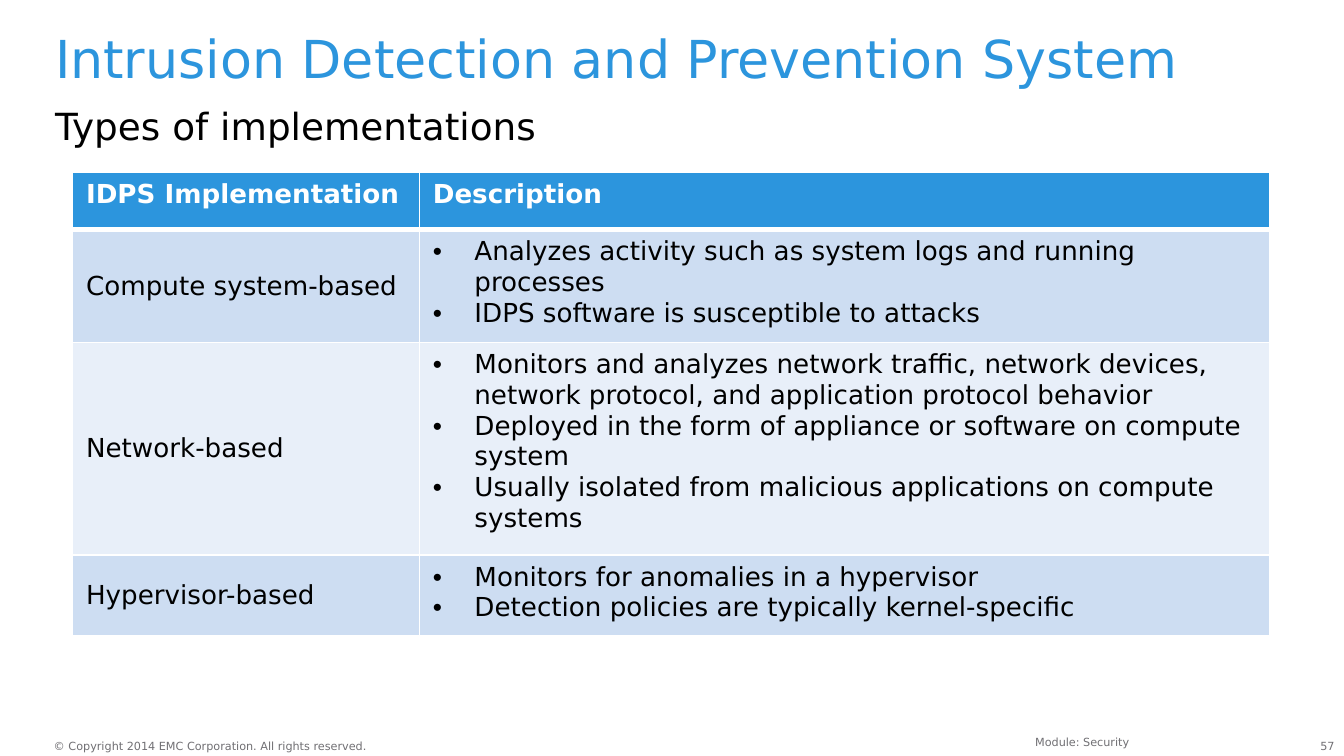
from lxml import etree
from pptx import Presentation
from pptx.dml.color import RGBColor
from pptx.enum.text import MSO_ANCHOR, PP_ALIGN
from pptx.oxml.ns import qn
from pptx.util import Inches, Pt

LEFT, RIGHT = PP_ALIGN.LEFT, PP_ALIGN.RIGHT
TOP, MIDDLE = MSO_ANCHOR.TOP, MSO_ANCHOR.MIDDLE

WIDTH = 10
HEIGHT = WIDTH * 9 / 16
MARGIN = 0.041 * WIDTH
FONT = "DejaVu Sans"
BLUE, BLACK, WHITE, GREY = "2C95DD", "000000", "FFFFFF", "717074"
BANDS = ["CDDDF2", "E8EFF9"]
INDENT = 0.31

COLUMNS = [2.58, 6.33]
ROW_HEIGHTS = [0.43, 0.84, 1.58, 0.6]
HEADER = ["IDPS Implementation", "Description"]
IMPLEMENTATIONS = [
    ("Compute system-based", [
        "Analyzes activity such as system logs and running processes",
        "IDPS software is susceptible to attacks",
    ]),
    ("Network-based", [
        "Monitors and analyzes network traffic, network devices, "
        "network protocol, and application protocol behavior",
        "Deployed in the form of appliance or software on compute system",
        "Usually isolated from malicious applications on compute systems",
    ]),
    ("Hypervisor-based", [
        "Monitors for anomalies in a hypervisor",
        "Detection policies are typically kernel-specific",
    ]),
]


def rgb(value):
    return RGBColor.from_string(value)


def add_run(p, text, size, color, bold=False):
    r = p.add_run()
    r.text = text
    r.font.name = FONT
    r.font.size = Pt(size)
    r.font.bold = bold
    r.font.color.rgb = rgb(color)


def add_text(slide, box, text, size, color, align=LEFT, inset=0, wrap=True, spacing=1):
    """Add a one-paragraph text box; box is left, top, width, height in inches."""
    tf = slide.shapes.add_textbox(*map(Inches, box)).text_frame
    tf.word_wrap = wrap
    tf.margin_left = tf.margin_right = Inches(inset)
    tf.margin_top = tf.margin_bottom = Inches(inset / 2)
    p = tf.paragraphs[0]
    p.alignment = align
    p.line_spacing = spacing
    add_run(p, text, size, color)


def add_bullet(p):
    pPr = p._p.get_or_add_pPr()
    pPr.set("marL", str(Inches(INDENT)))
    pPr.set("indent", str(-Inches(INDENT)))
    etree.SubElement(pPr, qn("a:buFont"), typeface="Arial")
    etree.SubElement(pPr, qn("a:buChar"), char="•")


def set_borders(cell, top, bottom):
    """Draw white borders, 1 pt at the sides and as given above and below."""
    tcPr = cell._tc.get_or_add_tcPr()
    for tag, width in (("lnL", 1), ("lnR", 1), ("lnT", top), ("lnB", bottom)):
        ln = etree.SubElement(tcPr, qn(f"a:{tag}"), w=str(Pt(width)))
        fill = etree.SubElement(ln, qn("a:solidFill"))
        etree.SubElement(fill, qn("a:srgbClr"), val=WHITE)


def fill_cell(cell, lines, fill, color=BLACK, header=False, bullets=False,
              anchor=TOP, top_border=1):
    set_borders(cell, top_border, bottom=3 if header else 1)
    cell.fill.solid()
    cell.fill.fore_color.rgb = rgb(fill)
    cell.vertical_anchor = anchor
    tf = cell.text_frame
    for i, line in enumerate(lines):
        p = tf.add_paragraph() if i else tf.paragraphs[0]
        if bullets:
            add_bullet(p)
        add_run(p, line, 14, color, header)


def add_implementation_table(slide, left, top):
    frame = slide.shapes.add_table(
        len(ROW_HEIGHTS), len(COLUMNS), Inches(left), Inches(top),
        Inches(sum(COLUMNS)), Inches(sum(ROW_HEIGHTS)))
    table = frame.table
    for column, width in zip(table.columns, COLUMNS):
        column.width = Inches(width)
    for row, height in zip(table.rows, ROW_HEIGHTS):
        row.height = Inches(height)
    for col, title in enumerate(HEADER):
        fill_cell(table.cell(0, col), [title], BLUE, WHITE, header=True)
    for i, (name, points) in enumerate(IMPLEMENTATIONS):
        band = BANDS[i % 2]
        border = 1 if i else 3
        fill_cell(table.cell(i + 1, 0), [name], band, anchor=MIDDLE, top_border=border)
        fill_cell(table.cell(i + 1, 1), points, band, bullets=True, top_border=border)


def add_footer(slide, top):
    add_text(slide, (0.4, top, 2.37, 0.1),
             "© Copyright 2014 EMC Corporation. All rights reserved.", 6, GREY, wrap=False)
    add_text(slide, (2.83, top - 0.08, 5.67, 0.15), "Module: Security", 6, GREY,
             align=RIGHT, inset=0.1)
    add_text(slide, (9.62, top, 0.31, 0.1), "57", 6, GREY, align=RIGHT)


def main():
    prs = Presentation()
    prs.slide_width, prs.slide_height = Inches(WIDTH), Inches(HEIGHT)
    slide = prs.slides.add_slide(prs.slide_layouts[6])
    add_footer(slide, top=5.5)
    add_text(slide, (MARGIN, 0.25, 9.25, 0.5),
             "Intrusion Detection and Prevention System", 28, BLUE, spacing=0.9)
    add_text(slide, (MARGIN, 0.77, 9.25, 0.33), "Types of implementations", 20, BLACK)
    add_implementation_table(slide, left=0.54, top=1.28)
    prs.save("out.pptx")


if __name__ == "__main__":
    main()
